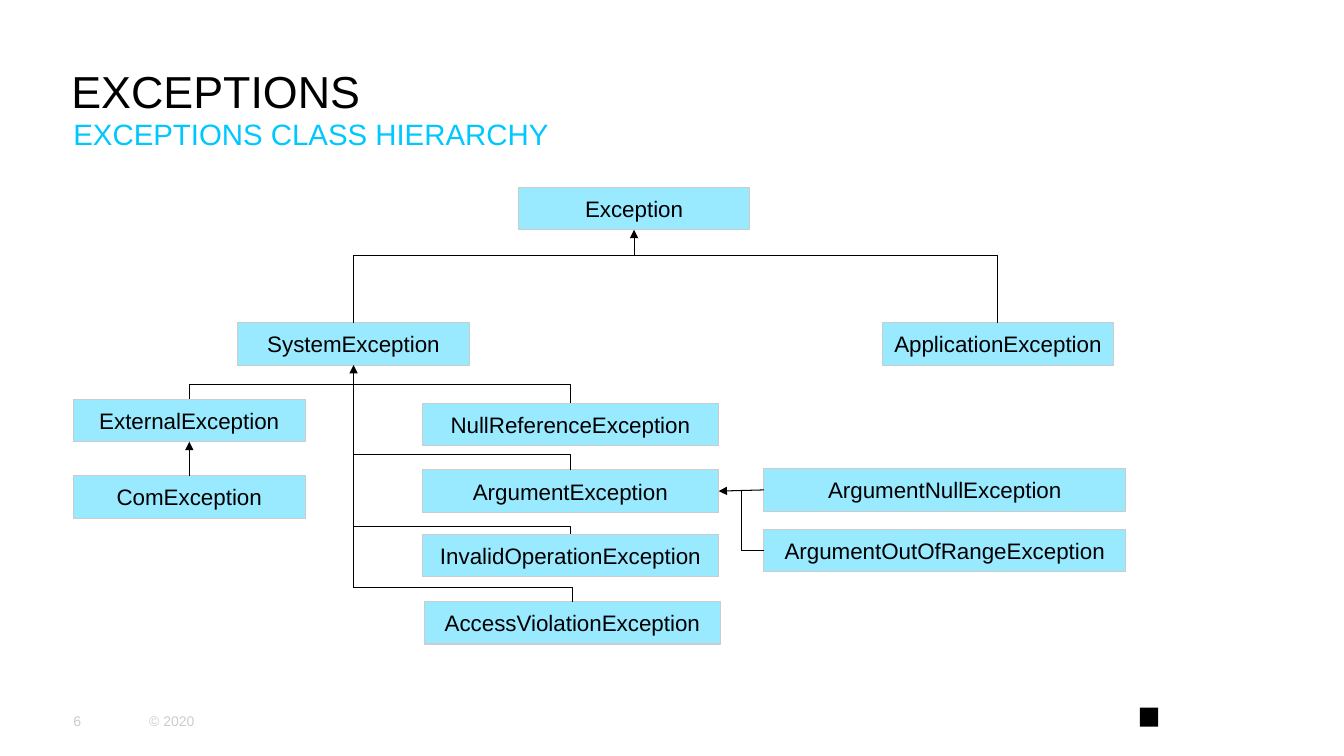
from lxml import etree
from pptx import Presentation
from pptx.dml.color import RGBColor
from pptx.enum.shapes import MSO_CONNECTOR, MSO_SHAPE
from pptx.enum.text import MSO_ANCHOR, PP_ALIGN
from pptx.oxml.ns import qn
from pptx.util import Cm, Pt

STRAIGHT, ELBOW = MSO_CONNECTOR.STRAIGHT, MSO_CONNECTOR.ELBOW
RECTANGLE = MSO_SHAPE.RECTANGLE
TOP, MIDDLE, BOTTOM = MSO_ANCHOR.TOP, MSO_ANCHOR.MIDDLE, MSO_ANCHOR.BOTTOM
LEFT, CENTER = PP_ALIGN.LEFT, PP_ALIGN.CENTER
SITE_TOP, SITE_LEFT, SITE_BOTTOM, SITE_RIGHT = range(4)

COLORS = {"black": "000000", "accent": "00C8FF", "box": "99E9FF", "gray": "CCCCCC"}
FONT = "Arial"
BOX_HEIGHT = 1.07
SMALL, MEDIUM, LARGE = 5.84, 7.47, 9.12


def color(name):
    return RGBColor.from_string(COLORS[name])


def write(frame, text, size=16, color_name="black", align=LEFT, anchor=TOP):
    frame.word_wrap = True
    frame.vertical_anchor = anchor
    paragraph = frame.paragraphs[0]
    paragraph.text = text
    paragraph.alignment = align
    paragraph.font.name = FONT
    paragraph.font.size = Pt(size)
    paragraph.font.color.rgb = color(color_name)


class HierarchySlide:
    """Draws class boxes and inheritance lines on one slide."""

    def __init__(self, slide):
        self.slide = slide

    def label(self, text, left, top, width, height, **style):
        frame = self.slide.shapes.add_textbox(
            Cm(left), Cm(top), Cm(width), Cm(height)).text_frame
        frame.margin_left = frame.margin_right = 0
        frame.margin_top = frame.margin_bottom = 0
        write(frame, text, **style)

    def rectangle(self, left, top, width, height, fill):
        shape = self.slide.shapes.add_shape(
            RECTANGLE, Cm(left), Cm(top), Cm(width), Cm(height))
        shape.shadow.inherit = False
        shape.fill.solid()
        shape.fill.fore_color.rgb = color(fill)
        shape.line.fill.background()
        return shape

    def box(self, name, left, top, width):
        shape = self.rectangle(left, top, width, BOX_HEIGHT, "box")
        shape.line.color.rgb = color("gray")
        shape.line.width = Pt(0.75)
        write(shape.text_frame, name, align=CENTER, anchor=MIDDLE)
        return shape

    def connector(self, kind, start, end):
        connector = self.slide.shapes.add_connector(kind, *start, *end)
        connector.line.color.rgb = color("black")
        connector.line.width = Pt(0.75)
        etree.SubElement(connector._element.spPr, qn("a:effectLst"))
        return connector

    def arrow(self, start, parent, site):
        """Straight arrow from a point to a connection site of the parent."""
        connector = self.connector(STRAIGHT, start, start)
        connector.end_connect(parent, site)
        line = connector.line._get_or_add_ln()
        etree.SubElement(line, qn("a:tailEnd"), type="triangle")
        return connector

    def elbow(self, start, end):
        """One bend: horizontal from the start, then vertical to the end."""
        connector = self.connector(ELBOW, start, end)
        geometry = connector._element.spPr.find(qn("a:prstGeom"))
        geometry.set("prst", "bentConnector2")

    def branch(self, trunk, level, child):
        self.elbow((trunk, Cm(level)), (center(child), child.top))


def center(shape):
    return shape.left + shape.width // 2


def middle(shape):
    return shape.top + shape.height // 2


def main():
    presentation = Presentation()
    presentation.slide_width, presentation.slide_height = Cm(33.87), Cm(19.05)
    slide = presentation.slides.add_slide(presentation.slide_layouts[6])
    page = HierarchySlide(slide)

    # Headings
    page.label("EXCEPTIONS", 1.8, 0.03, 30.23, 2.92, size=32, anchor=BOTTOM)
    page.label("EXCEPTIONS CLASS HIERARCHY", 1.85, 2.92, 30.15, 1.12,
               size=21, color_name="accent")

    # Footer
    for text, left, width in (("6", 1.85, 1.88), ("© 2020", 3.76, 2.74)):
        page.label(text, left, 17.65, width, 1.02,
                   size=10, color_name="gray", anchor=MIDDLE)
    page.rectangle(28.73, 17.83, 0.46, 0.48, "black")

    # Upper classes
    base = page.box("Exception", 13.06, 4.72, SMALL)
    system = page.box("SystemException", 5.99, 8.13, SMALL)
    application = page.box("ApplicationException", 22.23, 8.13, SMALL)

    # Classes under SystemException
    external = page.box("ExternalException", 1.85, 10.06, SMALL)
    com = page.box("ComException", 1.85, 11.99, SMALL)
    null_reference = page.box("NullReferenceException", 10.64, 10.16, MEDIUM)
    argument = page.box("ArgumentException", 10.64, 11.84, MEDIUM)
    invalid = page.box("InvalidOperationException", 10.64, 13.46, MEDIUM)
    access = page.box("AccessViolationException", 10.69, 15.16, MEDIUM)

    # Classes under ArgumentException
    argument_null = page.box("ArgumentNullException", 19.25, 11.81, LARGE)
    out_of_range = page.box("ArgumentOutOfRangeException", 19.25, 13.34, LARGE)

    # Lines to Exception
    base_level = 6.43
    page.arrow((center(base), Cm(base_level)), base, SITE_BOTTOM)
    for child in (system, application):
        page.branch(center(base), base_level, child)

    # Lines to SystemException
    trunk_end = 14.81
    page.arrow((center(system), Cm(trunk_end)), system, SITE_BOTTOM)
    for child, level in ((external, 9.7), (null_reference, 9.7),
                         (argument, 11.46), (invalid, 13.28),
                         (access, trunk_end)):
        page.branch(center(system), level, child)

    # Lines to ExternalException and ArgumentException
    for child, child_site, parent, parent_site in (
            (com, SITE_TOP, external, SITE_BOTTOM),
            (argument_null, SITE_LEFT, argument, SITE_RIGHT)):
        arrow = page.arrow((child.left, child.top), parent, parent_site)
        arrow.begin_connect(child, child_site)
    page.elbow((out_of_range.left, middle(out_of_range)),
               (Cm(18.69), middle(argument)))

    presentation.save("out.pptx")


if __name__ == "__main__":
    main()
